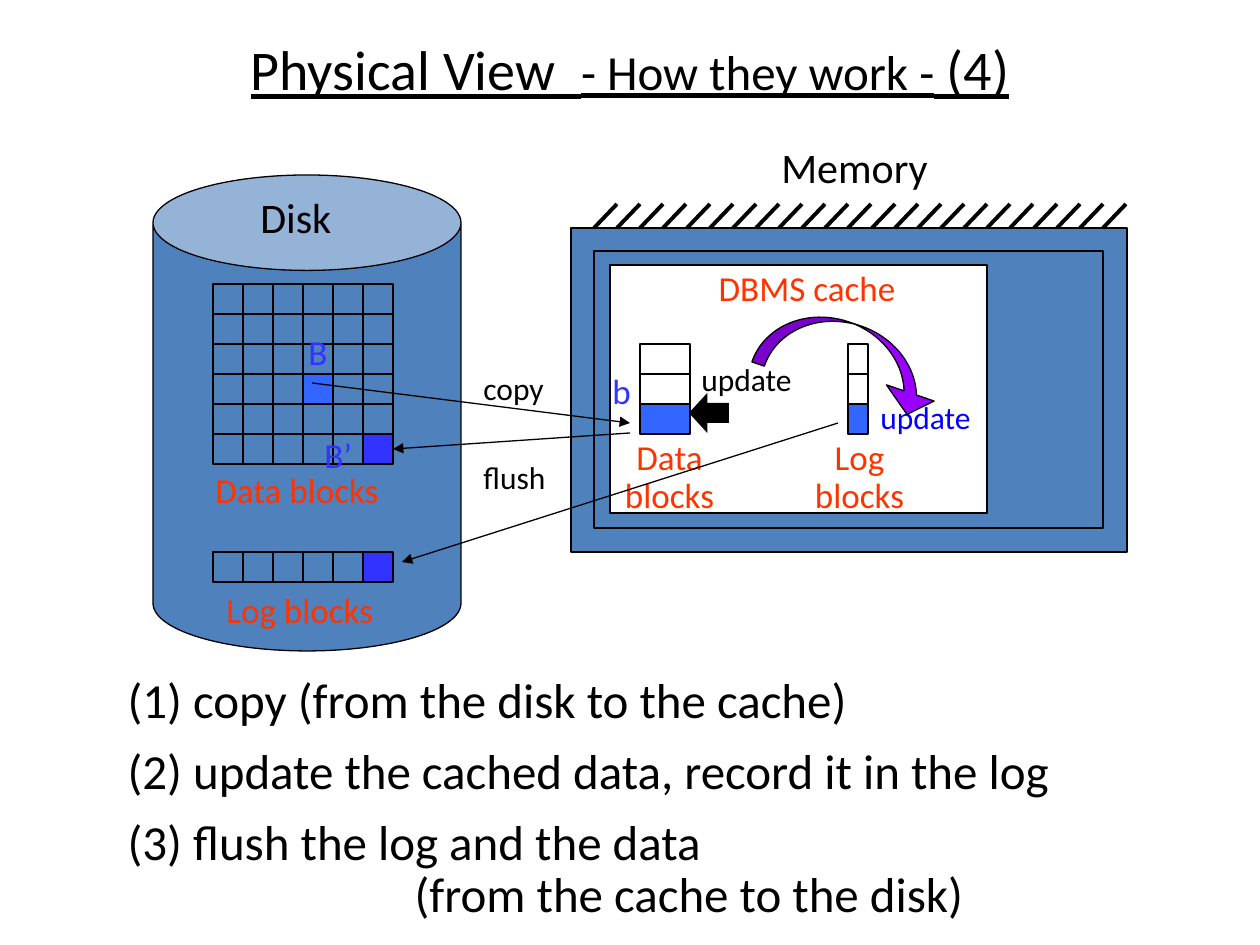
from dataclasses import dataclass

from lxml import etree
from pptx import Presentation
from pptx import util as u
from pptx.dml.color import RGBColor
from pptx.enum import shapes as kinds, text
from pptx.oxml import ns

SCALE = 914400 / 126  # EMU in one px
CELL = 30


@dataclass(frozen=True)
class Theme:
    font: str = "Calibri"
    ink: str = "000000"
    paper: str = "FFFFFF"
    steel: str = "4F81BD"
    caption: str = "FF3300"
    block: str = "3333FF"
    cached: str = "3366FF"
    record: str = "0000FF"
    sweep: str = "9900FF"
    title: int = 32
    body: int = 28
    heading: int = 24
    label: int = 20
    note: int = 18
    thin: float = 0.75
    thick: float = 2.25


THEME = Theme()


@dataclass(frozen=True)
class Box:
    left: int
    top: int
    width: int
    height: int

    def inner(self, left, top, width, height):
        return Box(self.left + left, self.top + top, width, height)

    def point(self, left, top):
        return self.left + left, self.top + top

    def emu(self):
        return [emu(v) for v in (self.left, self.top, self.width, self.height)]


def emu(pixels):
    return u.Emu(round(pixels * SCALE))


def apply(target, formats):
    for name, value in formats.items():
        setattr(target, name, value)


def place(shape, box):
    apply(shape, dict(zip(("left", "top", "width", "height"), box.emu())))


def add_run(paragraph, words, size, color=THEME.ink, underline=None):
    run = paragraph.add_run()
    run.text = words
    apply(run.font, {"name": THEME.font, "size": u.Pt(size), "underline": underline})
    run.font.color.rgb = RGBColor.from_string(color)


def add_label(slide, box, lines, size, color=THEME.ink, wrap=False, **formats):
    frame = slide.shapes.add_textbox(*box.emu()).text_frame
    apply(frame, {"word_wrap": wrap, "auto_size": text.MSO_AUTO_SIZE.SHAPE_TO_FIT_TEXT})
    for index, line in enumerate(lines.split("\n")):
        paragraph = frame.add_paragraph() if index else frame.paragraphs[0]
        apply(paragraph, formats)
        add_run(paragraph, line, size, color)


def add_figure(shapes, kind, box, fill=None, outlined=True, adjustments=()):
    shape = shapes.add_shape(kind, *box.emu())
    shape.shadow.inherit = False
    if fill:
        shape.fill.solid()
        shape.fill.fore_color.rgb = RGBColor.from_string(fill)
    else:
        shape.fill.background()
    if outlined:
        shape.line.color.rgb = RGBColor.from_string(THEME.ink)
        shape.line.width = u.Pt(THEME.thin)
    else:
        shape.line.fill.background()
    for index, value in enumerate(adjustments):
        shape.adjustments[index] = value
    return shape


def add_rectangle(shapes, box, fill=None):
    return add_figure(shapes, kinds.MSO_SHAPE.RECTANGLE, box, fill)


def add_line(shapes, start, end, width=THEME.thin, arrow=False):
    line = shapes.add_connector(
        kinds.MSO_CONNECTOR.STRAIGHT, *[emu(v) for v in (*start, *end)])
    line.line.color.rgb = RGBColor.from_string(THEME.ink)
    line.line.width = u.Pt(width)
    if arrow:
        outline = line.line._get_or_add_ln()
        etree.SubElement(outline, ns.qn("a:tailEnd"), type="triangle")
    etree.SubElement(line._element.spPr, ns.qn("a:effectLst"))
    return line


def add_blocks(slide, corner, columns, rows, width, fill, marked):
    """Draw a grid of blocks; marked maps (row, column) to another fill."""
    left, top = corner
    return {
        (row, column): add_rectangle(
            slide.shapes,
            Box(left + column * width, top + row * CELL, width, CELL),
            marked.get((row, column), fill))
        for row in range(rows) for column in range(columns)
    }


def build_title(slide, box):
    title = slide.shapes.title
    place(title, box)
    frame = title.text_frame
    apply(frame, {"auto_size": text.MSO_AUTO_SIZE.NONE,
                  "vertical_anchor": text.MSO_ANCHOR.MIDDLE})
    paragraph = frame.paragraphs[0]
    paragraph.alignment = text.PP_ALIGN.CENTER
    for words, size in (("Physical View  ", THEME.title),
                        ("- How they work -", THEME.body), (" (4)", THEME.title)):
        add_run(paragraph, words, size, underline=True)


def build_disk(slide, box):
    """Draw the disk and return the block that receives flushed data."""
    add_figure(slide.shapes, kinds.MSO_SHAPE.CAN, box, THEME.steel, adjustments=[0.31])
    add_label(slide, box.inner(95, 10, 103, 63), "Disk", THEME.heading)

    # Data blocks and log blocks
    data = add_blocks(slide, box.point(60, 109), 6, 6, CELL, THEME.steel,
                      {(0, 5): None, (3, 3): THEME.cached, (5, 5): THEME.block})
    add_blocks(slide, box.point(60, 377), 6, 1, CELL, THEME.steel, {(0, 5): THEME.block})

    for words, color, place_box in (
        ("Data blocks", THEME.caption, (50, 287, 204, 54)),
        ("Log blocks", THEME.caption, (61, 407, 188, 54)),
        ("B", THEME.block, (143, 149, 45, 54)),
        ("B’", THEME.block, (159, 252, 63, 54)),
    ):
        add_label(slide, box.inner(*place_box), words, THEME.label, color)
    return data[5, 5]


def build_memory(slide, box):
    """Draw the memory frame with its hatched top edge."""
    add_label(slide, box.inner(198, -93, 174, 63), "Memory", THEME.heading)
    group = slide.shapes.add_group_shape()
    add_rectangle(group.shapes, box, THEME.steel)
    add_rectangle(group.shapes, box.inner(23, 23, 509, 277), THEME.steel)
    strokes = 23
    for index in range(strokes):
        left = 23 + round(index * 509 / (strokes - 1))
        add_line(group.shapes, box.point(left, 0), box.point(left + 23, -24), THEME.thick)


def build_cache(slide, box):
    """Draw the cache with its data and log blocks and both updates."""
    add_rectangle(slide.shapes, box, THEME.paper)
    centred = {"alignment": text.PP_ALIGN.CENTER, "line_spacing": 0.9}
    add_label(slide, box.inner(87, 0, 220, 50), "DBMS cache",
              THEME.label, THEME.caption, True, **centred)

    # Stacks of blocks, the lowest one in use
    for left, width in ((30, 50), (238, 20)):
        add_blocks(slide, box.point(left, 79), 1, 3, width, None, {(2, 0): THEME.cached})
    for left, words in ((-1, "Data\nblocks"), (189, "Log\nblocks")):
        add_label(slide, box.inner(left, 169, 121, 88), words,
                  THEME.label, THEME.caption, **centred)
    add_label(slide, box.inner(-10, 98, 44, 54), "b", THEME.label, THEME.block, True)

    # Update of the data, then of the log
    add_figure(slide.shapes, kinds.MSO_SHAPE.LEFT_ARROW, box.inner(79, 128, 40, 40),
               THEME.ink, False, [0.5, 0.46])
    add_label(slide, box.inner(79, 89, 139, 50), "update", THEME.note, wrap=True)
    add_label(slide, box.inner(258, 131, 139, 47), "update", THEME.note,
              THEME.record, True, line_spacing=0.9)
    sweep = add_figure(slide.shapes, kinds.MSO_SHAPE.CURVED_RIGHT_ARROW,
                       box.inner(208, 0, 69, 189), THEME.sweep,
                       adjustments=[0.19, 0.73, 0.31])
    sweep.rotation = 108.7
    sweep._element.spPr.xfrm.set("flipV", "1")


def build_transfers(slide, box, flushed):
    """Draw the moves between disk and cache."""
    add_line(slide.shapes, box.point(0, 0), box.point(318, 40), arrow=True)
    flush = add_line(slide.shapes, box.point(318, 50), box.point(80, 66), arrow=True)
    flush.end_connect(flushed, 3)
    add_line(slide.shapes, box.point(526, 40), box.point(90, 179), arrow=True)
    for words, top in (("copy", -20), ("flush", 69)):
        add_label(slide, box.inner(159, top, 92, 50), words, THEME.note)


def build_steps(slide, box):
    body = slide.placeholders[1]
    place(body, box)
    frame = body.text_frame
    frame.auto_size = text.MSO_AUTO_SIZE.NONE
    steps = (
        ("(1) copy (from the disk to the cache)", 0.9, 0),
        ("(2) update the cached data, record it in the log", 1.2, 0),
        ("(3) flush the log and the data", 1.2, 0),
        ("(from the cache to the disk)", 0.9, 287),
    )
    for index, (words, spacing, indent) in enumerate(steps):
        paragraph = frame.add_paragraph() if index else frame.paragraphs[0]
        apply(paragraph, {"line_spacing": spacing, "space_before": u.Pt(0)})
        properties = paragraph._p.get_or_add_pPr()
        properties.set("marL", str(emu(indent)))
        properties.set("indent", "0")
        etree.SubElement(properties, ns.qn("a:buNone"))
        add_run(paragraph, words, THEME.body)


def main():
    presentation = Presentation()
    apply(presentation, {"slide_width": emu(1260), "slide_height": emu(945)})
    slide = presentation.slides.add_slide(presentation.slide_layouts[1])
    build_title(slide, Box(63, 16, 1134, 105))
    flushed = build_disk(slide, Box(153, 175, 308, 476))
    build_memory(slide, Box(571, 228, 556, 324))
    build_cache(slide, Box(610, 265, 377, 248))
    build_transfers(slide, Box(312, 383, 526, 179), flushed)
    build_steps(slide, Box(115, 670, 1091, 260))
    presentation.save("out.pptx")


if __name__ == "__main__":
    main()
